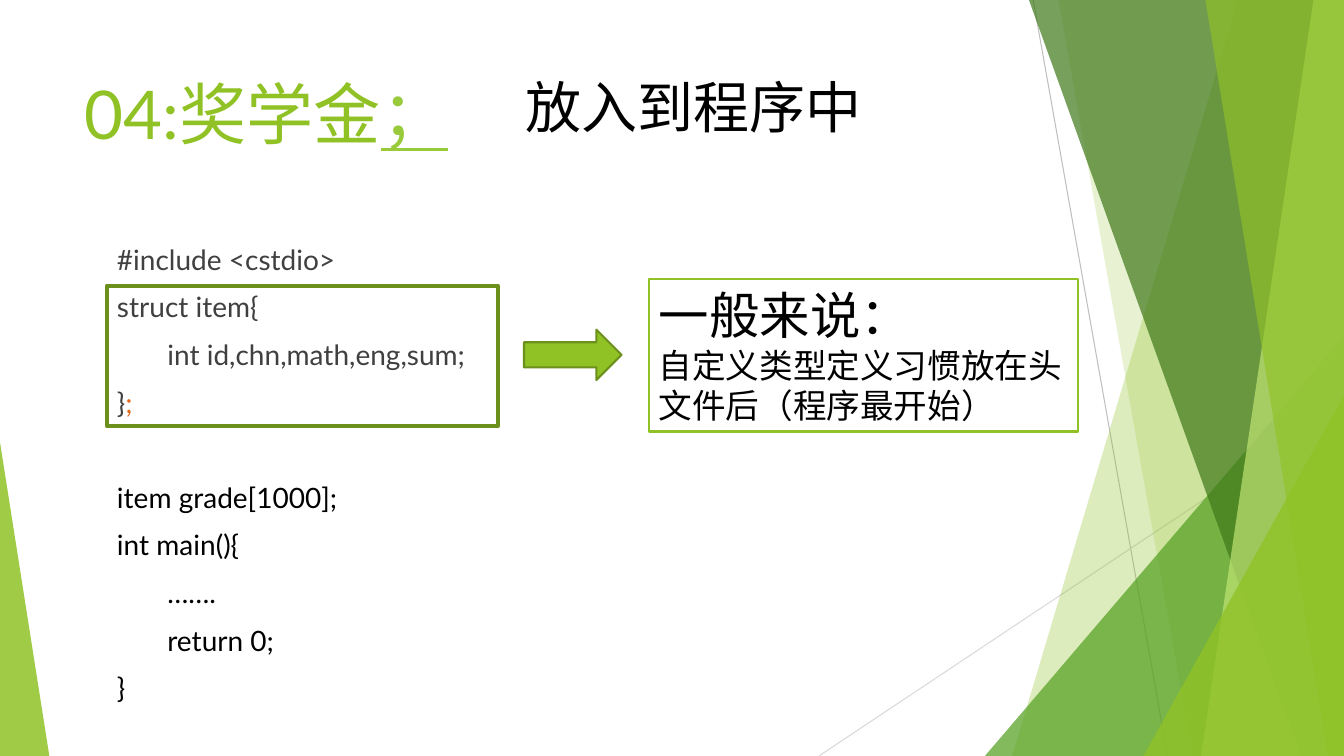
from lxml import etree
from pptx import Presentation
from pptx.dml.color import RGBColor
from pptx.enum.shapes import MSO_CONNECTOR as Connector, MSO_SHAPE as Shape
from pptx.enum.text import MSO_ANCHOR as Anchor, MSO_AUTO_SIZE as AutoSize, PP_ALIGN as Align
from pptx.oxml.ns import qn
from pptx.util import Pt

PX = 9525
WIDTH, HEIGHT = 1280, 720
FONT = "Lato"
LIME = RGBColor(0x90, 0xC2, 0x26)
BRIGHT_LIME = RGBColor(0x99, 0xCA, 0x3C)
PALE_LIME = RGBColor(0xC0, 0xE4, 0x74)
LEAF = RGBColor(0x54, 0xA0, 0x21)
FOREST = RGBColor(0x3F, 0x78, 0x19)
OLIVE = RGBColor(0x6B, 0x90, 0x1C)
ORANGE = RGBColor(0xE7, 0x66, 0x18)
BLACK = RGBColor(0, 0, 0)
WHITE = RGBColor(0xFF, 0xFF, 0xFF)
CHARCOAL = RGBColor(0x40, 0x40, 0x40)
SILVER = RGBColor(0xBF, 0xBF, 0xBF)
LIGHT_GREY = RGBColor(0xD9, 0xD9, 0xD9)


def emu(*lengths):
    return [length * PX for length in lengths]


def add_span(para, text, size, color, **styles):
    span = para.add_run()
    span.text = text
    for name, value in dict(name=FONT, size=Pt(size), **styles).items():
        setattr(span.font, name, value)
    span.font.color.rgb = color


def set_frame(frame):
    formats = dict(word_wrap=True, auto_size=AutoSize.NONE, vertical_anchor=Anchor.TOP)
    for name, value in formats.items():
        setattr(frame, name, value)


def paint(shape, fill=None, line=None, line_width=1.5, alpha=100):
    shape.shadow.inherit = False
    if fill is None:
        shape.fill.background()
    else:
        shape.fill.solid()
        shape.fill.fore_color.rgb = fill
        if alpha < 100:
            color = shape.element.spPr.find(qn("a:solidFill"))[0]
            etree.SubElement(color, qn("a:alpha")).set("val", str(alpha * 1000))
    if line is None:
        shape.line.fill.background()
    else:
        shape.line.color.rgb = line
        shape.line.width = Pt(line_width)


def add_ray(page, start, end, color):
    ray = page.shapes.add_connector(Connector.STRAIGHT, *emu(*start, *end))
    ray.line.color.rgb = color
    ray.line.width = Pt(0.75)
    etree.SubElement(ray.element.spPr, qn("a:effectLst"))


def add_facet(page, top_left, bottom_left, color, alpha):
    outline = page.shapes.build_freeform(top_left, 0, scale=PX)
    outline.add_line_segments([(WIDTH, 0), (WIDTH, HEIGHT), (bottom_left, HEIGHT)], close=True)
    paint(outline.convert_to_shape(), color, alpha=alpha)


def add_corner(page, left, top, width, apex, color, alpha):
    corner = page.shapes.add_shape(Shape.ISOSCELES_TRIANGLE, *emu(left, top, width, HEIGHT - top))
    corner.adjustments[0] = apex
    paint(corner, color, alpha=alpha)


def add_backdrop(page):
    add_ray(page, (984, 0), (1112, HEIGHT), SILVER)
    add_ray(page, (WIDTH, 387), (780, HEIGHT), LIGHT_GREY)
    add_facet(page, 1179, 964, LIME, 30)
    add_facet(page, 1008, 1136, LIME, 20)
    add_corner(page, 938, 320, 342, 1, LEAF, 72)
    add_facet(page, 980, 1239, FOREST, 70)
    add_facet(page, 1251, 1144, PALE_LIME, 70)
    add_facet(page, 1148, 1265, LIME, 65)
    add_corner(page, 1089, 377, 191, 1, LIME, 80)
    add_corner(page, 0, 421, 47, 0, LIME, 85)


def add_heading(page, left, top, width, height):
    title = page.shapes.title
    title.element.getparent().append(title.element)
    title.left, title.top, title.width, title.height = emu(left, top, width, height)
    set_frame(title.text_frame)
    para = title.text_frame.paragraphs[0]
    para.alignment = Align.LEFT
    add_span(para, "04:奖学金", 48, LIME)
    add_span(para, "；", 48, BRIGHT_LIME, underline=True)

    subtitle = page.shapes.add_textbox(*emu(left + 420, top, 442, 74))
    set_frame(subtitle.text_frame)
    add_span(subtitle.text_frame.paragraphs[0], "放入到程序中", 40, BLACK)


def add_code(page, left, top, width, height):
    code_lines = [
        (0, [("#include <cstdio>", CHARCOAL)]),
        (10, [("struct item{", CHARCOAL)]),
        (10, [("\tint id,chn,math,eng,sum;", CHARCOAL)]),
        (10, [("}", CHARCOAL), (";", ORANGE)]),
        (44, [("item grade[1000];", BLACK)]),
        (10, [("int main(){", BLACK)]),
        (10, [("\t…….", BLACK)]),
        (10, [("\treturn 0;", BLACK)]),
        (10, [("}", BLACK)]),
    ]
    frame = page.shapes.add_textbox(*emu(left, top, width, height)).text_frame
    set_frame(frame)
    for index, (gap, spans) in enumerate(code_lines):
        para = frame.add_paragraph() if index else frame.paragraphs[0]
        if gap:
            para.space_before = Pt(gap)
        for text, color in spans:
            add_span(para, text, 20, color)


def add_advice(page, left, top, width, height):
    advice = page.shapes.add_shape(Shape.RECTANGLE, *emu(left, top, width, height))
    paint(advice, WHITE, LIME)
    frame = advice.text_frame
    set_frame(frame)
    lines = [("一般来说：", 36), ("自定义类型定义习惯放在头文件后（程序最开始）", 24)]
    for index, (text, size) in enumerate(lines):
        para = frame.add_paragraph() if index else frame.paragraphs[0]
        para.alignment = Align.LEFT
        add_span(para, text, size, BLACK)


def add_highlight(page, left, top, width, height):
    arrow = page.shapes.add_shape(
        Shape.RIGHT_ARROW, *emu(left + width + 25, top + 42, 93, 48))
    paint(arrow, LIME, OLIVE)
    struct_frame = page.shapes.add_shape(Shape.RECTANGLE, *emu(left, top, width, height))
    paint(struct_frame, line=OLIVE, line_width=3)


def main():
    deck = Presentation()
    deck.slide_width, deck.slide_height = emu(WIDTH, HEIGHT)
    page = deck.slides.add_slide(deck.slide_layouts[5])
    add_backdrop(page)
    add_heading(page, 71, 64, 902, 138)
    add_code(page, 102, 226, 507, 494)
    add_advice(page, 618, 266, 409, 145)
    add_highlight(page, 102, 272, 372, 134)
    deck.save("out.pptx")


if __name__ == "__main__":
    main()
